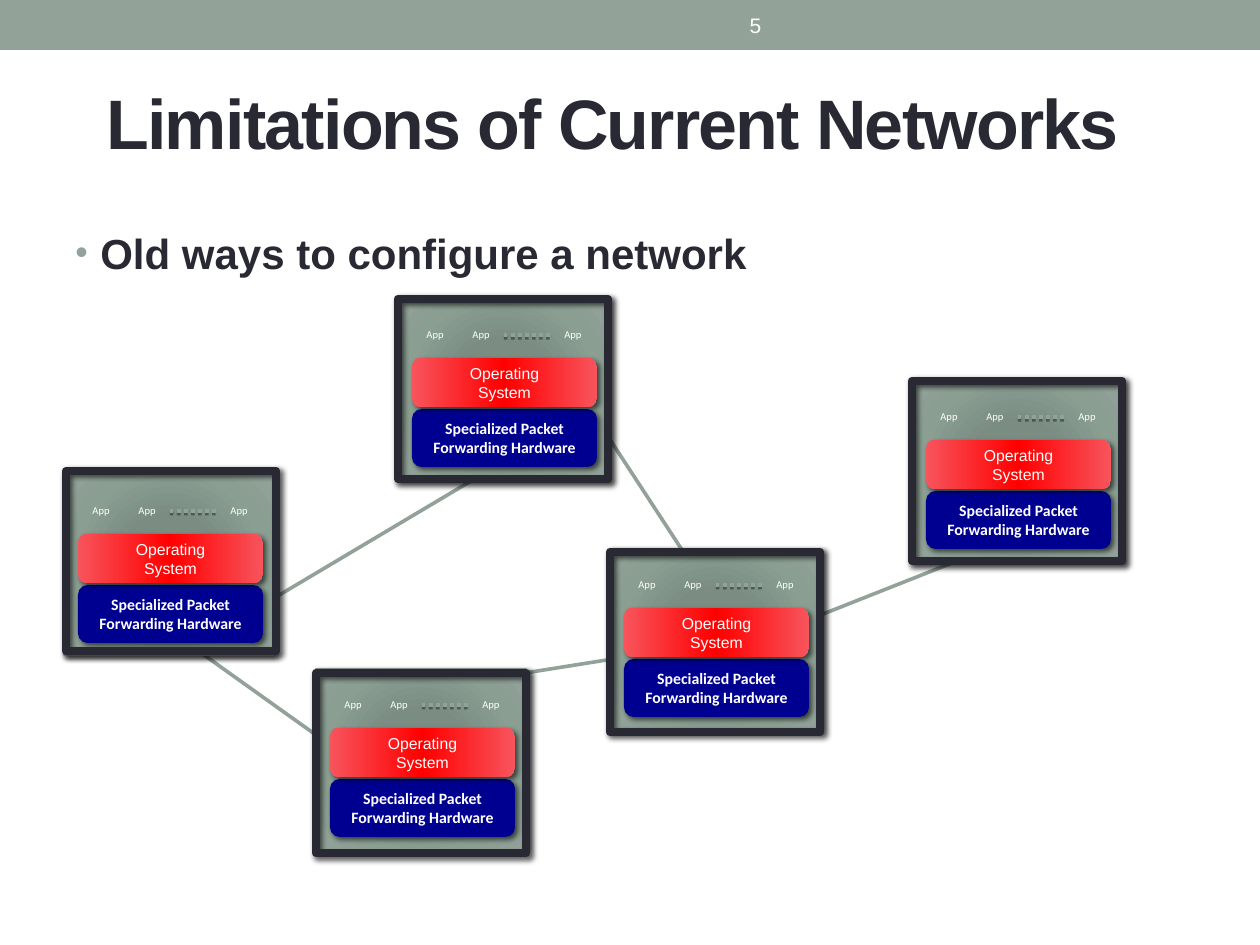
from lxml import etree
from pptx import Presentation
from pptx.dml.color import RGBColor
from pptx.enum.dml import MSO_LINE
from pptx.enum.shapes import MSO_CONNECTOR, MSO_SHAPE
from pptx.enum.text import MSO_ANCHOR as ANCHOR, PP_ALIGN as ALIGN
from pptx.oxml import parse_xml
from pptx.oxml.ns import nsdecls, qn
from pptx.util import Emu, Pt

PX = 914400 // 126
INK, SAGE, WHITE, NAVY = "292934", "93A299", "FFFFFF", "000090"
RED, ROSE = "FF0000", "F7545C"
PANEL_STOPS = [(0, "7B8E82"), (34, "7B8D83"), (70, "8A9E92"), (100, SAGE)]
PANEL_PATH = ('<a:path path="circle"><a:fillToRect l="100000" t="100000" '
              'r="100000" b="100000"/></a:path>')
OS_STOPS = [(0, ROSE), (50, RED), (100, ROSE)]
OS_PATH = '<a:lin ang="0" scaled="0"/>'
NODE_W, NODE_H = 210, 180

# Panel corner and frame corner of each network node
NODES = [((64, 475), (66, 471)), ((398, 299), (398, 299)),
         ((912, 381), (912, 381)), ((316, 669), (316, 673)),
         ((610, 549), (610, 552))]
LINKS = [(271, 600, 503, 462), (609, 438, 714, 599), (462, 683, 651, 653),
         (169, 630, 316, 735), (798, 624, 995, 546)]


def px(*lengths):
    return [Emu(n * PX) for n in lengths]


def color(hex_code):
    return RGBColor.from_string(hex_code)


def set_shadow(shape, alpha=60, blur=3, dist=2, angle=45):
    shape._element.spPr.append(parse_xml(
        f'<a:effectLst {nsdecls("a")}><a:outerShdw blurRad="{Pt(blur)}" '
        f'dist="{Pt(dist)}" dir="{angle * 60000}" algn="ctr" rotWithShape="0">'
        f'<a:srgbClr val="000000"><a:alpha val="{alpha * 1000}"/></a:srgbClr>'
        '</a:outerShdw></a:effectLst>'))


def set_gradient(shape, stops, direction):
    gs = "".join(f'<a:gs pos="{pos * 1000}"><a:srgbClr val="{c}"/></a:gs>'
                 for pos, c in stops)
    shape._element.spPr.find(qn("a:prstGeom")).addnext(parse_xml(
        f'<a:gradFill {nsdecls("a")} rotWithShape="1"><a:gsLst>{gs}</a:gsLst>'
        f'{direction}</a:gradFill>'))


def add_text(shape, text, size, font="Arial", fill=WHITE, bold=False,
             align=ALIGN.CENTER, anchor=ANCHOR.MIDDLE, inset=None,
             spacing=None, bullet=None):
    tf = shape.text_frame
    tf.word_wrap = True
    tf.vertical_anchor = anchor
    if inset is not None:
        tf.margin_left = tf.margin_top = tf.margin_right = tf.margin_bottom = inset
    for i, line in enumerate(text.split("\n")):
        p = tf.add_paragraph() if i else tf.paragraphs[0]
        p.alignment = align
        if bullet:
            add_bullet(p, bullet)
        r = p.add_run()
        r.text = line
        r.font.size, r.font.name, r.font.bold = Pt(size), font, bold
        r.font.color.rgb = color(fill)
        if spacing:
            r._r.get_or_add_rPr().set("spc", str(spacing * 100))


def add_bullet(p, char):
    pPr = p._p.get_or_add_pPr()
    indent = px(25)[0]
    pPr.set("marL", str(indent))
    pPr.set("indent", str(-indent))
    clr = etree.SubElement(pPr, qn("a:buClr"))
    etree.SubElement(clr, qn("a:srgbClr"), val=SAGE)
    etree.SubElement(pPr, qn("a:buSzPct"), val="85000")
    etree.SubElement(pPr, qn("a:buFont"), typeface="Arial")
    etree.SubElement(pPr, qn("a:buChar"), char=char)


def add_label(s, box, text, size, **fmt):
    add_text(s.shapes.add_textbox(*px(*box)), text, size, **fmt)


def add_box(s, box, kind=MSO_SHAPE.RECTANGLE, fill=None, gradient=None,
            line=None, width=0.75, shadow=True):
    sp = s.shapes.add_shape(kind, *px(*box))
    if gradient:
        set_gradient(sp, *gradient)
    elif fill:
        sp.fill.solid()
        sp.fill.fore_color.rgb = color(fill)
    else:
        sp.fill.background()
    if line:
        sp.line.color.rgb = color(line)
        sp.line.width = Pt(width)
    else:
        sp.line.fill.background()
    if shadow:
        set_shadow(sp)
    else:
        sp.shadow.inherit = False
    return sp


def add_line(s, ends, width, dotted=False):
    line = s.shapes.add_connector(MSO_CONNECTOR.STRAIGHT, *px(*ends))
    line.line.color.rgb = color(SAGE)
    line.line.width = Pt(width)
    if dotted:
        line.line.dash_style = MSO_LINE.ROUND_DOT
        set_shadow(line, alpha=38, blur=0, dist=1.6, angle=90)
    else:
        etree.SubElement(line._element.spPr, qn("a:effectLst"))


def add_header(s, x, y, w, h):
    add_box(s, (x, y, w, h), fill=SAGE, shadow=False)
    add_label(s, (x + 472, y + 3, 567, 45), "5", 12)


def add_node(s, panel, frame):
    x, y = panel
    add_box(s, (x, y, NODE_W, NODE_H), gradient=(PANEL_STOPS, PANEL_PATH), line=SAGE)
    # Apps with an ellipsis between the last two
    for dx in (16, 62, 154):
        add_label(s, (x + dx, y + 14, 42, 43), "App", 6, font="Calibri", inset=0)
    add_line(s, (x + 106, y + 36, x + 152, y + 36), 2, dotted=True)
    # Hardware and operating system layers
    hardware = add_box(s, (x + 14, y + 110, 185, 58),
                       MSO_SHAPE.ROUNDED_RECTANGLE, fill=NAVY)
    add_text(hardware, "Specialized Packet Forwarding Hardware", 9,
             font="Calibri", bold=True)
    system = add_box(s, (x + 14, y + 59, 185, 49), MSO_SHAPE.ROUNDED_RECTANGLE,
                     gradient=(OS_STOPS, OS_PATH))
    add_text(system, "Operating\nSystem", 9)
    # Outer frame
    add_box(s, (*frame, NODE_W, NODE_H), line=INK, width=5)


def main():
    prs = Presentation()
    prs.slide_width, prs.slide_height = px(1260, 945)
    s = prs.slides.add_slide(prs.slide_layouts[6])

    # Header, title and bullet
    add_header(s, 0, 0, 1260, 50)
    add_label(s, (94, 42, 1176, 158), "Limitations of Current Networks", 40,
              fill=INK, bold=True, align=ALIGN.LEFT, spacing=-1)
    add_label(s, (63, 221, 1134, 672), "Old ways to configure a network", 24,
              fill=INK, bold=True, align=ALIGN.LEFT, anchor=ANCHOR.TOP, bullet="•")

    # Network: links behind, nodes in front
    for ends in LINKS:
        add_line(s, ends, 2.08)
    for panel, frame in NODES:
        add_node(s, panel, frame)

    prs.save("out.pptx")


if __name__ == "__main__":
    main()
